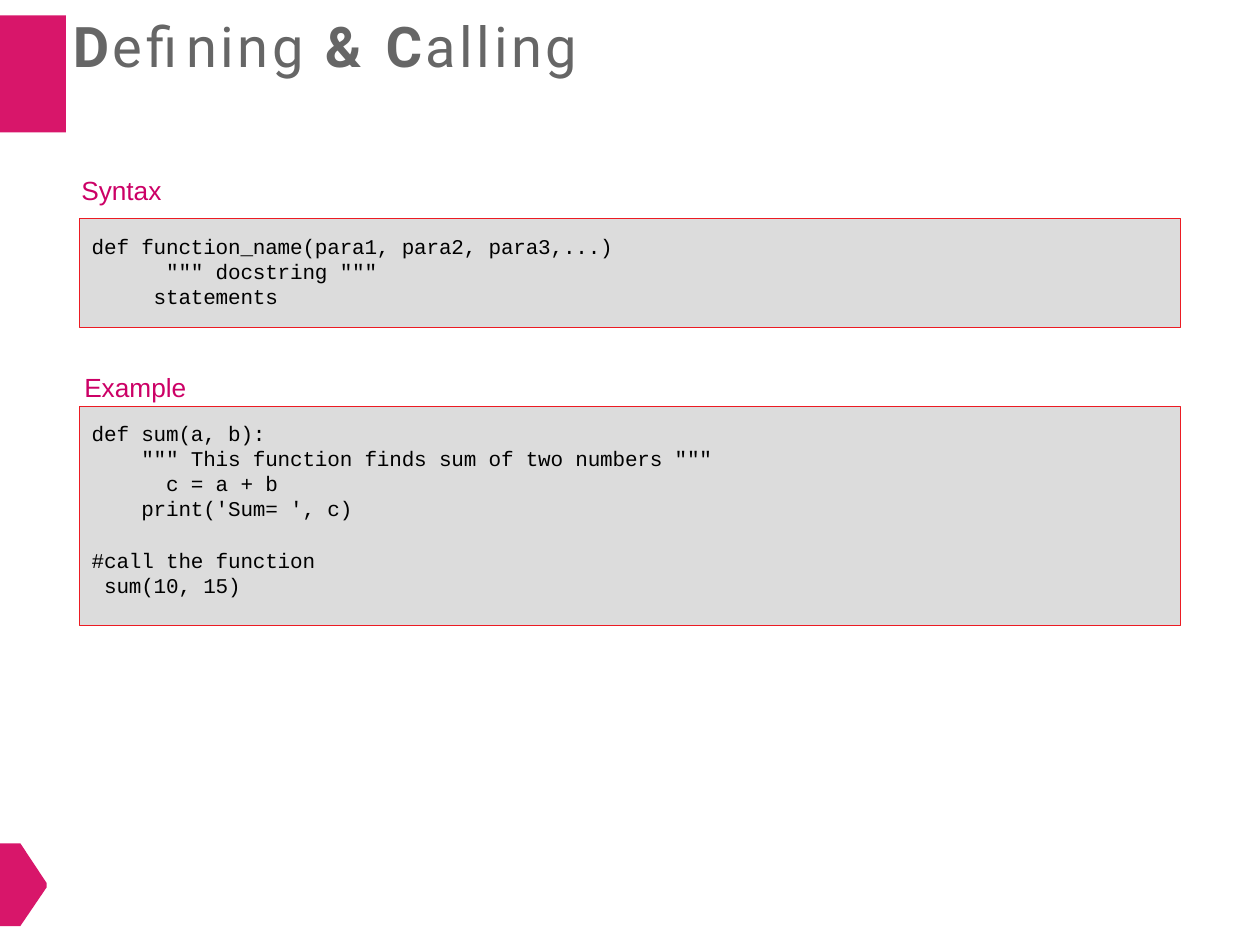
from pptx import Presentation
from pptx.dml.color import RGBColor
from pptx.enum.shapes import MSO_SHAPE
from pptx.enum.text import MSO_ANCHOR, MSO_AUTO_SIZE, PP_ALIGN
from pptx.util import Cm, Pt

RECT = MSO_SHAPE.RECTANGLE
TOP, LEFT, NO_FIT = MSO_ANCHOR.TOP, PP_ALIGN.LEFT, MSO_AUTO_SIZE.NONE

PINK = RGBColor(0xD8, 0x16, 0x6A)
MAGENTA = RGBColor(0xCC, 0x00, 0x66)
GREY = RGBColor(0x66, 0x66, 0x66)
PANEL = RGBColor(0xDC, 0xDC, 0xDC)
RED = RGBColor(0xEC, 0x1B, 0x23)
BLACK = RGBColor(0x00, 0x00, 0x00)

TITLE_FONT = {"name": "Roboto", "size": Pt(32)}
HEADING_FONT = {"name": "Arial", "size": Pt(15), "bold": False}
CODE_FONT = {"name": "Courier New", "size": Pt(12), "bold": False}

# text, bold, letter spacing in points
TITLE = [("D", True, 2), ("efining ", False, 2), ("& ", True, 2.9),
         ("C", True, 2), ("alling", False, 2)]

# Boxes are left, top, width, height in cm; code is grouped into blocks of lines
SECTIONS = [
    {"heading": "Syntax", "heading_box": (1.64, 3.48, 1.8, 0.71),
     "code_box": (1.6, 4.4, 22.2, 2.2), "inset": 0.32,
     "code": [["def function_name(para1, para2, para3,...)",
               '      """ docstring """',
               "     statements"]]},
    {"heading": "Example", "heading_box": (1.7, 7.45, 2.2, 0.71),
     "code_box": (1.6, 8.2, 22.2, 4.4), "inset": 0.28,
     "code": [["def sum(a, b):",
               '    """ This function finds sum of two numbers """',
               "      c = a + b",
               "    print('Sum= ', c)"],
              ["#call the function",
               " sum(10, 15)"]]},
]
BAND_BOX = (0, 0.31, 1.33, 2.36)
ARROW = [(0, 17), (0.41, 17), (0.94, 17.8), (0.94, 17.89), (0.41, 18.67), (0, 18.67)]
LINE_PITCH, BLOCK_GAP = Pt(14.3), Pt(15.4)


def cm(values):
    return [Cm(v) for v in values]


def set_frame(tf, inset, wrap=True):
    fmt = {"margin_left": 0, "margin_right": 0, "margin_bottom": 0,
           "margin_top": Cm(inset), "vertical_anchor": TOP,
           "word_wrap": wrap, "auto_size": NO_FIT}
    for name, value in fmt.items():
        setattr(tf, name, value)


def add_run(p, text, font, color, spacing):
    r = p.add_run()
    r.text = text
    for name, value in font.items():
        setattr(r.font, name, value)
    r.font.color.rgb = color
    r._r.get_or_add_rPr().set("spc", str(round(spacing * 100)))


def paint(sp, fill, line=None):
    sp.shadow.inherit = False
    sp.fill.solid()
    sp.fill.fore_color.rgb = fill
    if line is None:
        sp.line.fill.background()
    else:
        sp.line.color.rgb = line
        sp.line.width = Pt(0.25)


def add_title(s):
    sp = s.shapes.title
    sp.left, sp.top, sp.width, sp.height = cm((1.47, 0.2, 10.54, 1.42))
    set_frame(sp.text_frame, 0.03, wrap=False)
    p = sp.text_frame.paragraphs[0]
    p.alignment = LEFT
    p.line_spacing = 1.0
    for text, bold, spacing in TITLE:
        add_run(p, text, {**TITLE_FONT, "bold": bold}, GREY, spacing)


def add_heading(s, text, box):
    tf = s.shapes.add_textbox(*cm(box)).text_frame
    set_frame(tf, 0.03, wrap=False)
    add_run(tf.paragraphs[0], text, HEADING_FONT, MAGENTA, 0)


def add_code(s, blocks, box, inset):
    sp = s.shapes.add_shape(RECT, *cm(box))
    paint(sp, PANEL, RED)
    tf = sp.text_frame
    set_frame(tf, inset)
    tf.margin_left = Cm(0.25)
    for b, block in enumerate(blocks):
        for i, line in enumerate(block):
            p = tf.paragraphs[0] if b == i == 0 else tf.add_paragraph()
            p.alignment = LEFT
            p.line_spacing = LINE_PITCH
            if b and i == 0:
                p.space_before = BLOCK_GAP
            add_run(p, line, CODE_FONT, BLACK, -0.1)


def main():
    prs = Presentation()
    prs.slide_width, prs.slide_height = Cm(25.4), Cm(19.05)
    s = prs.slides.add_slide(prs.slide_layouts[5])

    paint(s.shapes.add_shape(RECT, *cm(BAND_BOX)), PINK)
    start, *rest = [cm(point) for point in ARROW]
    outline = s.shapes.build_freeform(*start)
    outline.add_line_segments(rest, close=True)
    paint(outline.convert_to_shape(), PINK)

    add_title(s)
    for section in SECTIONS:
        add_heading(s, section["heading"], section["heading_box"])
        add_code(s, section["code"], section["code_box"], section["inset"])
    prs.save("out.pptx")


if __name__ == "__main__":
    main()
